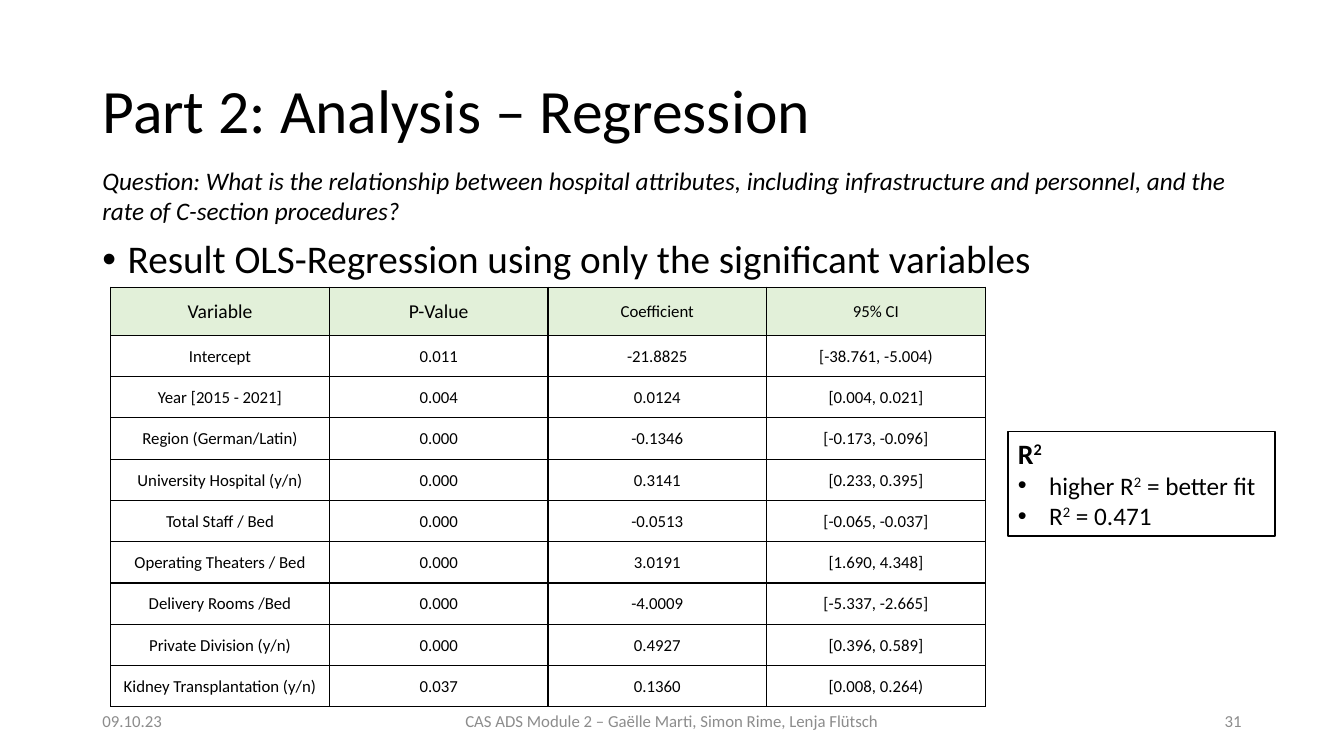
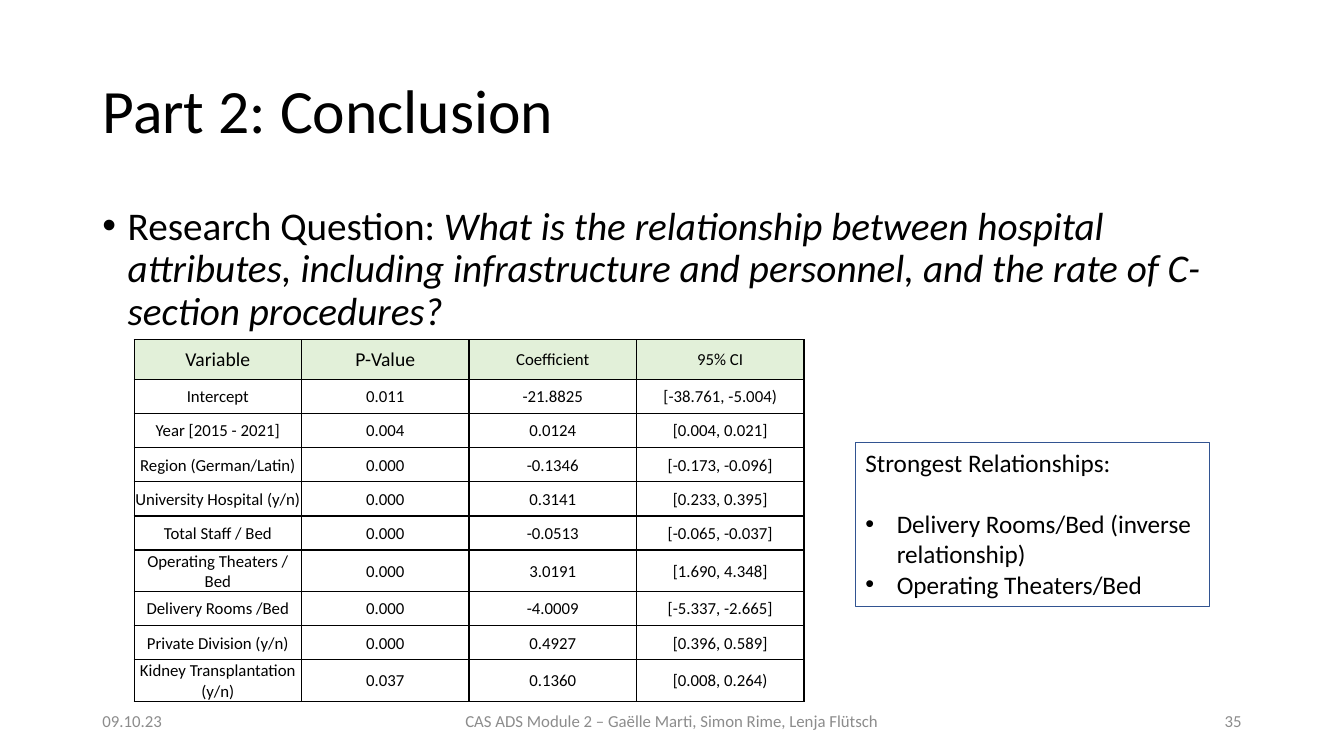
from lxml import etree
from pptx import Presentation
from pptx import util as u
from pptx.dml import color
from pptx.enum import text
from pptx.oxml import ns

COLORS = {"black": "000000", "grey": "8C8C8C", "header": "E2F0D9", "blue": "325491"}
FONT = "Calibri"
LEFT, WIDTH = 2.33, 29.21
LEFT_ALIGN, CENTER, RIGHT = text.PP_ALIGN.LEFT, text.PP_ALIGN.CENTER, text.PP_ALIGN.RIGHT
BODY = {"line_spacing": 0.9, "space_before": u.Pt(10)}
ITALIC = {"italic": True}
SUPER = {"baseline": 30000}

DATE = "09.10.23"
FOOTER = "CAS ADS Module 2 – Gaëlle Marti, Simon Rime, Lenja Flütsch"
QUESTION = ("What is the relationship between hospital attributes, including infrastructure "
            "and personnel, and the rate of C-section procedures?")
REGRESSION = [
    ("Variable", "P-Value", "Coefficient", "95% CI"),
    ("Intercept", "0.011", "-21.8825", "[-38.761, -5.004)"),
    ("Year [2015 - 2021]", "0.004", "0.0124", "[0.004, 0.021]"),
    ("Region (German/Latin)", "0.000", "-0.1346", "[-0.173, -0.096]"),
    ("University Hospital (y/n)", "0.000", "0.3141", "[0.233, 0.395]"),
    ("Total Staff / Bed", "0.000", "-0.0513", "[-0.065, -0.037]"),
    ("Operating Theaters / Bed", "0.000", "3.0191", "[1.690, 4.348]"),
    ("Delivery Rooms /Bed", "0.000", "-4.0009", "[-5.337, -2.665]"),
    ("Private Division (y/n)", "0.000", "0.4927", "[0.396, 0.589]"),
    ("Kidney Transplantation (y/n)", "0.037", "0.1360", "[0.008, 0.264)"),
]


def set_all(target, values):
    """Set every attribute named in a dict."""
    for name, value in values.items():
        setattr(target, name, value)


def rgb(name):
    """Look up a colour of the deck."""
    return color.RGBColor.from_string(COLORS[name])


def add_child(parent, tag, **attributes):
    """Append a DrawingML element."""
    return etree.SubElement(parent, ns.qn(tag), attributes)


class Deck:
    """Holds the presentation, its style and the current slide."""

    def __init__(self):
        """Start a widescreen presentation."""
        self.presentation = Presentation()
        set_all(self.presentation, {"slide_width": u.Cm(33.87), "slide_height": u.Cm(19.05)})
        self.slide = None

    def add_slide(self, title, number):
        """Add a slide with its title and footers."""
        self.slide = self.presentation.slides.add_slide(self.presentation.slide_layouts[5])
        shape = self.slide.shapes.title
        set_all(shape, {"left": u.Cm(LEFT), "top": u.Cm(1.01),
                        "width": u.Cm(WIDTH), "height": u.Cm(3.68)})
        set_all(shape.text_frame, {"word_wrap": True, "auto_size": text.MSO_AUTO_SIZE.NONE,
                                   "vertical_anchor": text.MSO_ANCHOR.MIDDLE})
        self.fill_paragraph(shape.text_frame.paragraphs[0], [(title, {})], 44,
                            spacing={"line_spacing": 0.9})
        for left, width, words, align in ((LEFT, 7.62, DATE, LEFT_ALIGN),
                                          (11.22, 11.43, FOOTER, CENTER),
                                          (23.92, 7.62, str(number), RIGHT)):
            frame = self.add_box(left, 17.65, width, 1.01).text_frame
            frame.vertical_anchor = text.MSO_ANCHOR.MIDDLE
            self.fill_paragraph(frame.paragraphs[0], [(words, {})], 12, "grey", align)

    def fill_paragraph(self, paragraph, runs, size, ink="black", align=LEFT_ALIGN,
                       indent=0, spacing=None):
        """Fill a paragraph with runs; an indent in cm makes it a bullet."""
        set_all(paragraph, {"alignment": align, **(spacing or {})})
        for words, values in runs:
            run = paragraph.add_run()
            run.text = words
            values = dict(values)
            baseline = values.pop("baseline", None)
            set_all(run.font, {"name": FONT, "size": u.Pt(size), **values})
            run.font.color.rgb = rgb(ink)
            if baseline:
                run._r.get_or_add_rPr().set("baseline", str(baseline))
        if indent:
            properties = paragraph._p.get_or_add_pPr()
            properties.set("marL", str(u.Cm(indent)))
            properties.set("indent", str(-u.Cm(indent)))
            add_child(properties, "a:buFont", typeface="Arial")
            add_child(properties, "a:buChar", char="•")

    def add_box(self, left, top, width, height, border=None):
        """Add a wrapping text box, framed when a border colour is given."""
        shape = self.slide.shapes.add_textbox(*map(u.Cm, (left, top, width, height)))
        shape.text_frame.word_wrap = True
        if border:
            shape.line.color.rgb = rgb(border)
            shape.line.width = u.Pt(1)
        return shape

    def add_text(self, left, top, width, height, runs, size, **style):
        """Add a text box of one paragraph."""
        frame = self.add_box(left, top, width, height).text_frame
        self.fill_paragraph(frame.paragraphs[0], runs, size, **style)

    def add_callout(self, left, top, width, height, border, heading, size, bullets, gap=0):
        """Add a framed box with a heading, a gap in points and bullets."""
        frame = self.add_box(left, top, width, height, border).text_frame
        self.fill_paragraph(frame.paragraphs[0], heading, size,
                            spacing={"space_after": u.Pt(gap)})
        for runs in bullets:
            self.fill_paragraph(frame.add_paragraph(), runs, 18, indent=0.79)

    def add_table(self, left, top, column_width, header_height, row_height):
        """Add the table of regression results."""
        rows, columns = len(REGRESSION), len(REGRESSION[0])
        heights = [header_height] + [row_height] * (rows - 1)
        table = self.slide.shapes.add_table(
            rows, columns, u.Cm(left), u.Cm(top),
            u.Cm(column_width * columns), u.Cm(sum(heights))).table
        set_all(table, {"first_row": False, "horz_banding": False})
        for column in table.columns:
            column.width = u.Cm(column_width)
        for row, height in zip(table.rows, heights):
            row.height = u.Cm(height)
        for r, values in enumerate(REGRESSION):
            for c, words in enumerate(values):
                self.format_cell(table.cell(r, c), words, 14 if r == 0 and c < 2 else 12, r == 0)

    def format_cell(self, cell, words, size, is_header):
        """Fill one cell and give it borders and a background."""
        margin = u.Cm(0.03)
        set_all(cell, {"margin_left": margin, "margin_right": margin, "margin_top": margin,
                       "margin_bottom": 0, "vertical_anchor": text.MSO_ANCHOR.MIDDLE})
        self.fill_paragraph(cell.text_frame.paragraphs[0], [(words, {})], size, align=CENTER)
        properties = cell._tc.get_or_add_tcPr()
        for side in ("a:lnL", "a:lnR", "a:lnT", "a:lnB"):
            line = add_child(properties, side, w=str(u.Pt(1)))
            add_child(add_child(line, "a:solidFill"), "a:srgbClr", val=COLORS["black"])
        if is_header:
            cell.fill.solid()
            cell.fill.fore_color.rgb = rgb("header")
        else:
            cell.fill.background()


def build_regression(deck):
    """Build the slide with the regression results."""
    deck.add_slide("Part 2: Analysis – Regression", 31)
    deck.add_text(LEFT, 5.92, WIDTH, 1.3,
                  [("Result OLS-Regression using only the significant variables", {})],
                  28, indent=0.64, spacing=BODY)
    deck.add_text(LEFT, 4.04, 29.79, 1.8, [("Question: " + QUESTION, ITALIC)], 18)
    deck.add_table(2.79, 7.24, 5.51, 1.21, 1.04)
    bold = {"bold": True}
    deck.add_callout(25.4, 10.87, 6.73, 2.64, "black", [("R", bold), ("2", {**bold, **SUPER})], 20,
                     [[("higher R", {}), ("2", SUPER), (" = better fit", {})],
                      [("R", {}), ("2", SUPER), (" = 0.471", {})]])


def build_conclusion(deck):
    """Build the slide with the conclusion."""
    deck.add_slide("Part 2: Conclusion", 35)
    deck.add_text(LEFT, 5.08, WIDTH, 3.68, [("Research Question: ", {}), (QUESTION, ITALIC)],
                  28, indent=0.64, spacing=BODY)
    deck.add_callout(21.56, 11.15, 8.92, 4.14, "blue", [("Strongest Relationships:", {})], 18,
                     [[("Delivery Rooms/Bed (inverse relationship)", {})],
                      [("Operating Theaters/Bed", {})]], gap=22)
    deck.add_table(3.38, 8.56, 4.22, 1, 0.86)


deck = Deck()
build_regression(deck)
build_conclusion(deck)
deck.presentation.save("out.pptx")
